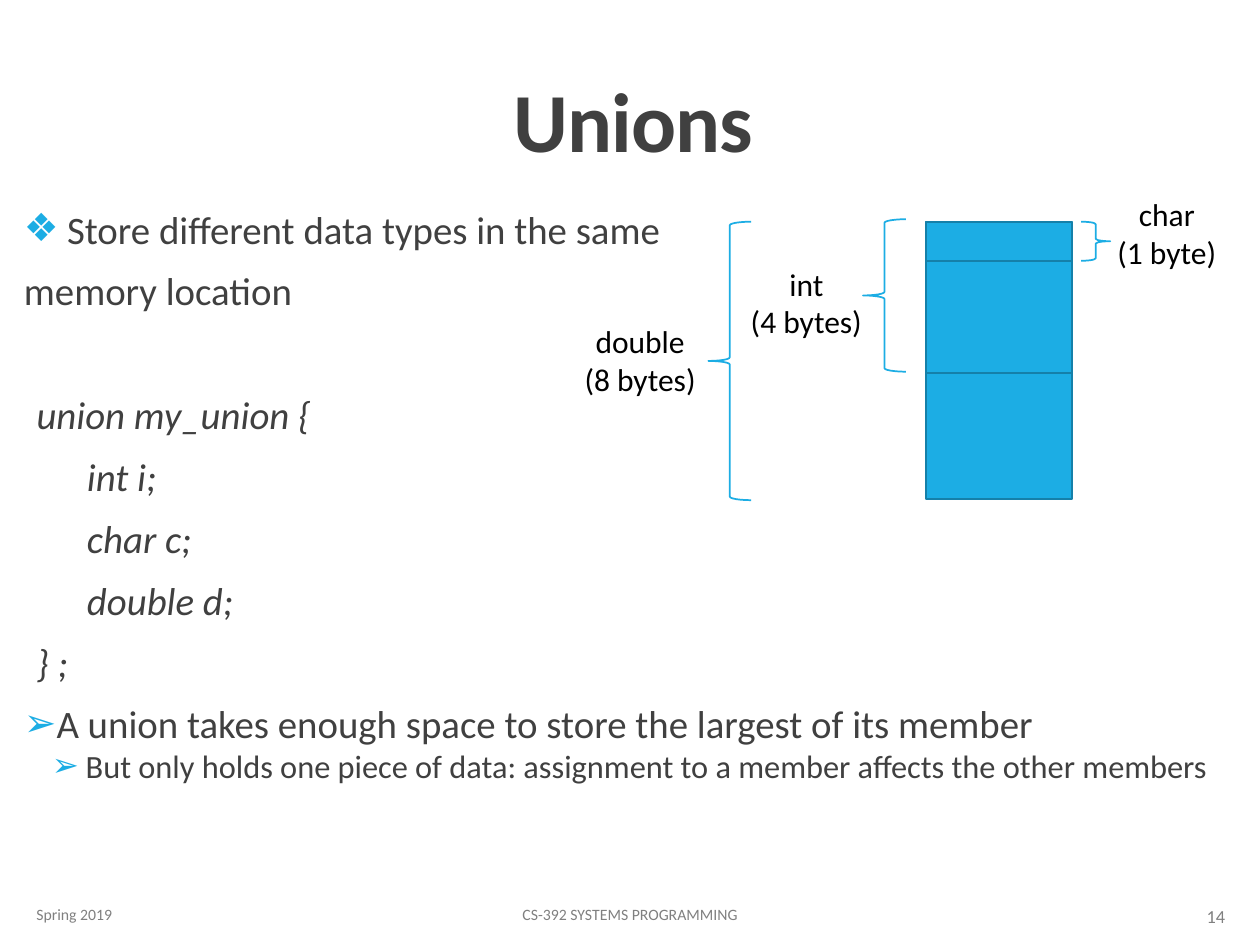
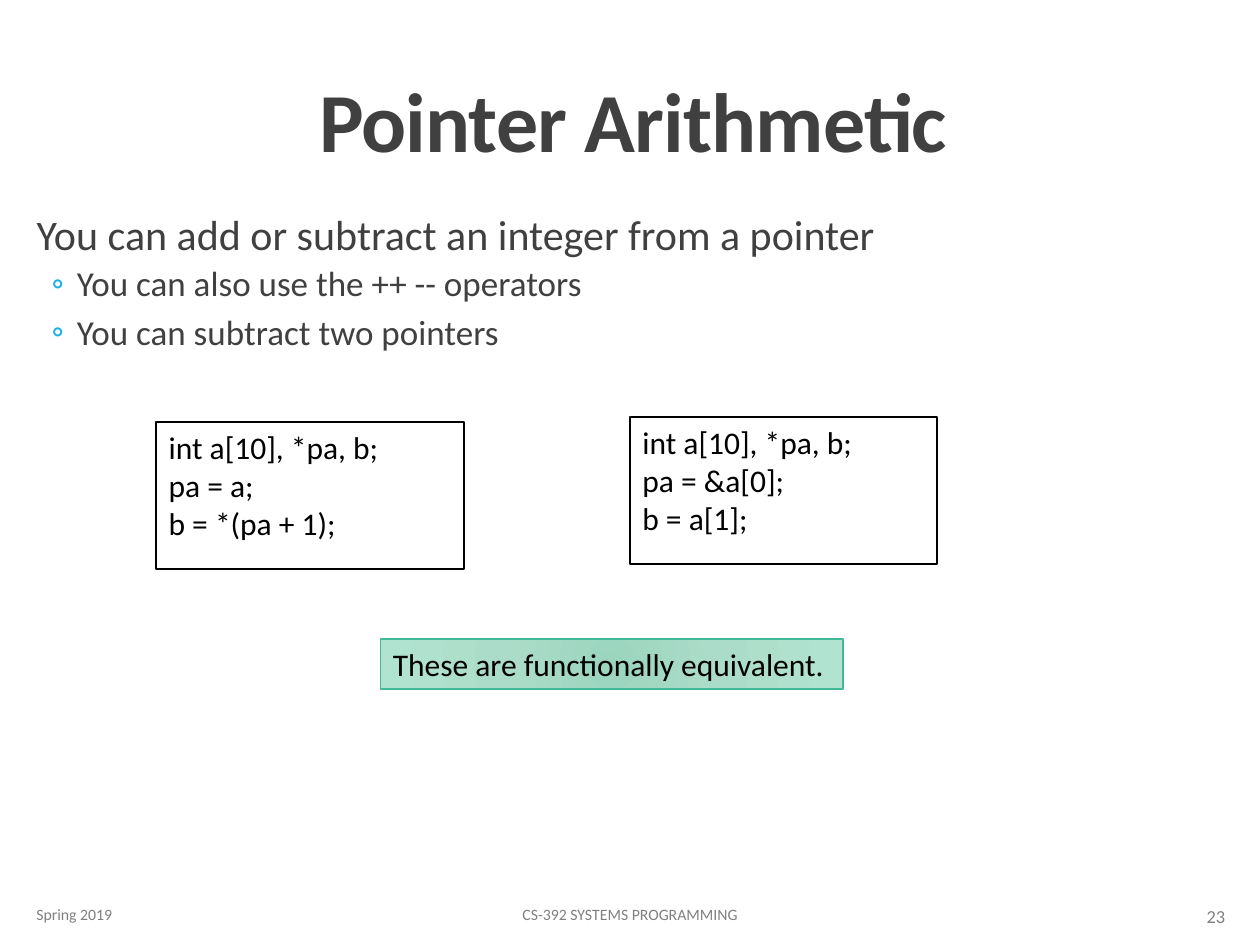
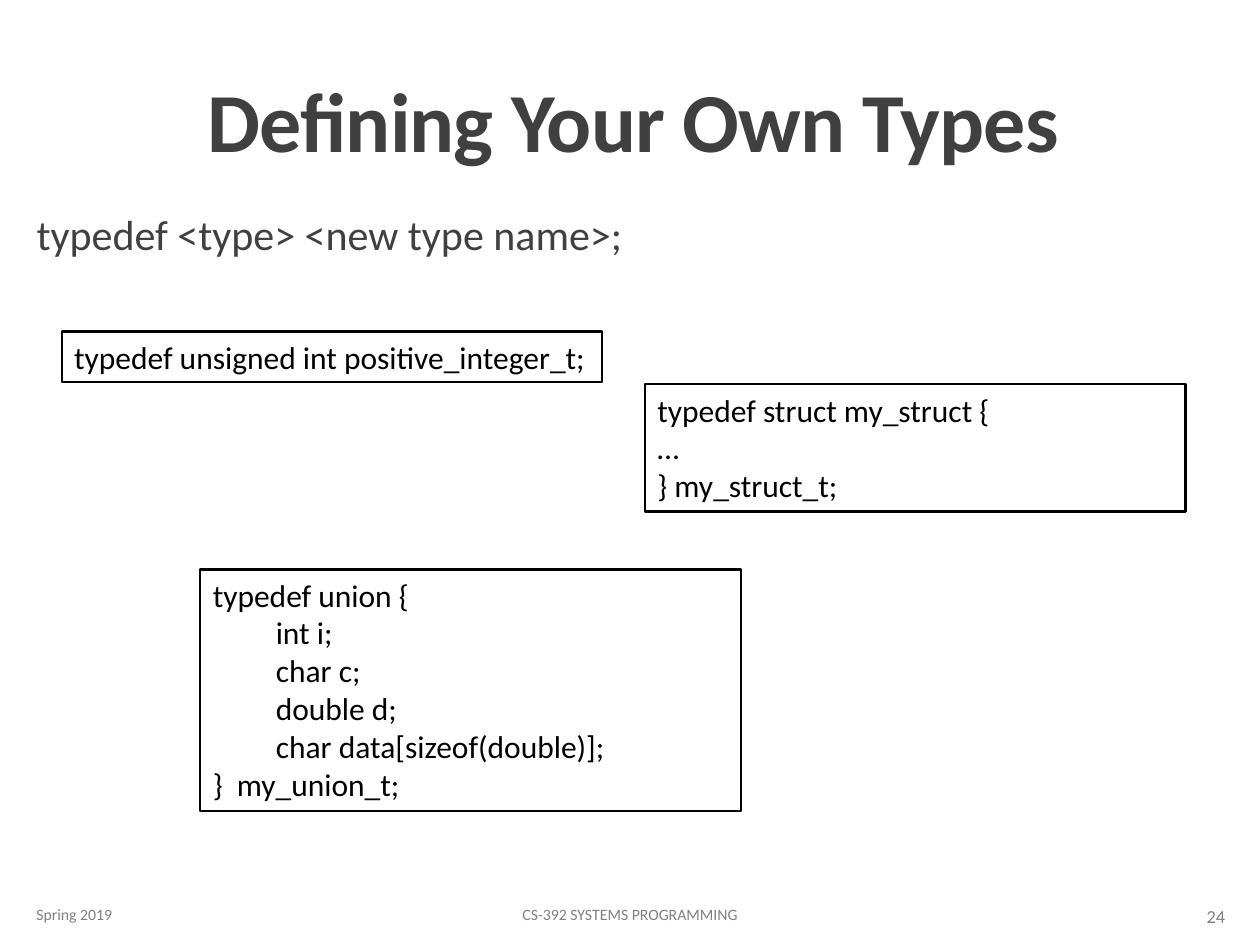
from collections import namedtuple

from lxml import etree
from pptx import Presentation
from pptx.dml.color import RGBColor
from pptx.enum import shapes, text
from pptx.oxml.ns import qn
from pptx.util import Pt

FONT = "Calibri"
ACCENT = RGBColor(0x1C, 0xAD, 0xE4)
ACCENT_EDGE = RGBColor(0x15, 0x80, 0xA9)
DARK = RGBColor(0x40, 0x40, 0x40)
GRAY = RGBColor(0x80, 0x80, 0x80)
BLACK = RGBColor(0, 0, 0)
WHITE = RGBColor(0xFF, 0xFF, 0xFF)
GREEN_EDGE = RGBColor(0x42, 0xBA, 0x97)
GREEN_STOPS = [
    (0, RGBColor(0x9B, 0xD5, 0xBE)),
    (45, RGBColor(0xAB, 0xDC, 0xC9)),
    (100, RGBColor(0xB1, 0xE4, 0xD0)),
]

ALIGN = text.PP_ALIGN
ANCHOR = text.MSO_ANCHOR
SHAPE = shapes.MSO_SHAPE
MARGIN = 13.68
BODY_TOP = 118.8
CODE_SIZE = 18

Item = namedtuple(
    "Item", "words level left hang bullet size italic before",
    defaults=(0, 7.2, 0, None, 24, False, 12))


def place(shape, box):
    shape.left, shape.top, shape.width, shape.height = map(Pt, box)


def add_run(paragraph, words, size, color, bold=False, italic=False):
    run = paragraph.add_run()
    run.text = words
    font = run.font
    font.name, font.size, font.bold, font.italic = FONT, Pt(size), bold, italic
    font.color.rgb = color
    return run


def paragraphs_for(frame, items):
    """Pair each item with a paragraph, starting with the frame's first one."""
    for index, item in enumerate(items):
        yield item, frame.add_paragraph() if index else frame.paragraphs[0]


def write_lines(frame, lines, size, color, align=ALIGN.LEFT):
    for line, paragraph in paragraphs_for(frame, lines):
        paragraph.alignment = align
        add_run(paragraph, line, size, color)


def add_label(parent, box, lines, size, color, align, anchor=ANCHOR.TOP, wrap=True):
    label = parent.add_textbox(*map(Pt, box))
    label.text_frame.word_wrap = wrap
    label.text_frame.vertical_anchor = anchor
    write_lines(label.text_frame, lines, size, color, align)


def add_outlined(parent, kind, box, fill, edge, width):
    shape = parent.add_shape(kind, *map(Pt, box))
    shape.shadow.inherit = False
    if fill is None:
        shape.fill.background()
    else:
        shape.fill.solid()
        shape.fill.fore_color.rgb = fill
    shape.line.color.rgb = edge
    shape.line.width = Pt(width)
    return shape


def set_bullet(paragraph, item):
    properties = paragraph._p.get_or_add_pPr()
    properties.set("marL", str(Pt(item.left)))
    properties.set("indent", str(-Pt(item.hang)))
    if item.bullet is None:
        etree.SubElement(properties, qn("a:buNone"))
        return
    color = etree.SubElement(properties, qn("a:buClr"))
    etree.SubElement(color, qn("a:srgbClr"), val=str(ACCENT))
    etree.SubElement(properties, qn("a:buFont"), typeface=FONT)
    etree.SubElement(properties, qn("a:buChar"), char=item.bullet)


def set_title(slide, words):
    title = slide.shapes.title
    place(title, (64.8, 2.9, 594, 97.9))
    frame = title.text_frame
    frame.auto_size = text.MSO_AUTO_SIZE.NONE
    frame.vertical_anchor = ANCHOR.BOTTOM
    paragraph = frame.paragraphs[0]
    paragraph.alignment = ALIGN.CENTER
    paragraph.line_spacing = 0.85
    run = add_run(paragraph, words, 48, DARK, bold=True)
    run._r.get_or_add_rPr().set("spc", "-50")


def set_body(slide, height, items, line_spacing=0.9):
    body = slide.placeholders[1]
    place(body, (MARGIN, BODY_TOP, 692.64, height))
    frame = body.text_frame
    frame.auto_size = text.MSO_AUTO_SIZE.NONE
    frame.margin_left = frame.margin_right = 0
    for item, paragraph in paragraphs_for(frame, items):
        paragraph.level = item.level
        paragraph.alignment = ALIGN.LEFT
        paragraph.line_spacing = line_spacing
        paragraph.space_before = Pt(0 if item is items[0] else item.before)
        paragraph.space_after = Pt(4 if item.level else 2)
        set_bullet(paragraph, item)
        add_run(paragraph, item.words, item.size, DARK, italic=item.italic)


def add_footer(slide, number):
    for left, top, width, words, size, align in (
            (MARGIN, 508.3, 146.2, "Spring 2019", 9, ALIGN.LEFT),
            (217.4, 508.3, 285.1, "CS-392 SYSTEMS PROGRAMMING", 9, ALIGN.CENTER),
            (629.3, 509, 77.8, number, 10.5, ALIGN.RIGHT)):
        add_label(slide.shapes, (left, top, width, 28.8), [words], size, GRAY,
                  align, ANCHOR.MIDDLE)


def add_slide(presentation, title, number):
    slide = presentation.slides.add_slide(presentation.slide_layouts[1])
    set_title(slide, title)
    add_footer(slide, str(number))
    return slide


def add_code_box(slide, box, lines, wrap=True):
    shape = add_outlined(slide.shapes, SHAPE.RECTANGLE, box, WHITE, BLACK, 1.25)
    frame = shape.text_frame
    frame.word_wrap = wrap
    frame.vertical_anchor = ANCHOR.TOP
    write_lines(frame, lines, CODE_SIZE, BLACK)
    return shape


def set_radial_fill(shape, stops):
    shape.fill.gradient()
    gradient = shape._element.spPr.find(qn("a:gradFill"))
    for child in list(gradient):
        gradient.remove(child)
    stop_list = etree.SubElement(gradient, qn("a:gsLst"))
    for percent, color in stops:
        stop = etree.SubElement(stop_list, qn("a:gs"), pos=str(percent * 1000))
        etree.SubElement(stop, qn("a:srgbClr"), val=str(color))
    circle = etree.SubElement(gradient, qn("a:path"), path="circle")
    etree.SubElement(circle, qn("a:fillToRect"),
                     {side: "100000" for side in "ltrb"})


def add_memory_diagram(slide, left, top):
    """Draw overlapping union members as memory cells with size braces."""
    group = slide.shapes.add_group_shape().shapes
    for offset, height in ((0, 158.5), (0, 22.3), (22.3, 64)):
        add_outlined(group, SHAPE.RECTANGLE,
                     (left + 203, top + 18.7 + offset, 83.5, height),
                     ACCENT, ACCENT_EDGE, 1.25)
    for x, y, width, height, turn in (
            (78.6, 18.7, 24.5, 159.1, 0),
            (167, 17.3, 24.5, 87.1, 0),
            (291.6, 18.7, 16.6, 22.3, 180)):
        brace = add_outlined(group, SHAPE.LEFT_BRACE,
                             (left + x, top + y, width, height), None, ACCENT, 1)
        brace.rotation = turn
    for x, y, width, lines in (
            (0, 72.7, 79.2, ("double", "(8 bytes)")),
            (95, 39.6, 79.2, ("int", "(4 bytes)")),
            (304.6, 0, 72, ("char", "(1 byte)"))):
        add_label(group, (left + x, top + y, width, 51.1), lines, CODE_SIZE,
                  BLACK, ALIGN.CENTER, wrap=False)


def build_unions(presentation):
    slide = add_slide(presentation, "Unions", 14)
    size = 22.2
    members = [Item(words, left=0, size=size, italic=True)
               for words in ("\tint i;", "\tchar c;", "\tdouble d;")]
    set_body(slide, 370.8, [
        Item("Store different data types in the same",
             left=24.6, hang=24.6, bullet="❖", size=size),
        Item("memory location", left=0, size=size),
        Item("union my_union {", size=size, italic=True, before=47.5),
        *members,
        Item("} ;", size=size, italic=True),
        Item("A union takes enough space to store the largest of its member",
             left=18.6, hang=18.6, bullet="➢", size=size),
        Item("But only holds one piece of data: assignment to a member "
             "affects the other members", level=1, left=35.3, hang=19.4,
             bullet="➢", size=18.5, before=2),
    ], line_spacing=0.8)
    add_memory_diagram(slide, 326.2, 108)


def build_pointer_arithmetic(presentation):
    slide = add_slide(presentation, "Pointer Arithmetic", 23)
    details = [Item(words, level=1, left=30.24, hang=14.4, bullet="◦", size=20, before=2)
               for words in ("You can also use the ++ -- operators",
                             "You can subtract two pointers")]
    set_body(slide, 121.7,
             [Item("You can add or subtract an integer from a pointer"), *details])
    for left, top, assignments in (
            (89.3, 241.2, ("pa = a;", "b = *(pa + 1);")),
            (360, 238.3, ("pa = &a[0];", "b = a[1];"))):
        add_code_box(slide, (left, top, 175.7, 84.2),
                     ("int a[10], *pa, b;", *assignments))
    verdict = add_code_box(slide, (217.4, 365, 264.2, 28.8),
                           ["These are functionally equivalent."], wrap=False)
    set_radial_fill(verdict, GREEN_STOPS)
    verdict.line.color.rgb = GREEN_EDGE
    verdict.line.width = Pt(1)


def build_own_types(presentation):
    slide = add_slide(presentation, "Defining Your Own Types", 24)
    set_body(slide, 81.4, [Item("typedef <type> <new type name>;")])
    for left, top, height, lines in (
            (368.6, 219.6, 72.7, ("typedef struct my_struct {", "…", "} my_struct_t;")),
            (35.3, 189.4, 28.8, ("typedef unsigned int positive_integer_t;",)),
            (114.5, 325.4, 138.2, ("typedef union {", "\tint i;", "\tchar c;",
                                   "\tdouble d;", "\tchar data[sizeof(double)];",
                                   "}  my_union_t;"))):
        add_code_box(slide, (left, top, 308.9, height), lines)


def main():
    presentation = Presentation()
    presentation.slide_width, presentation.slide_height = Pt(720), Pt(540)
    build_unions(presentation)
    build_pointer_arithmetic(presentation)
    build_own_types(presentation)
    presentation.save("out.pptx")


if __name__ == "__main__":
    main()
